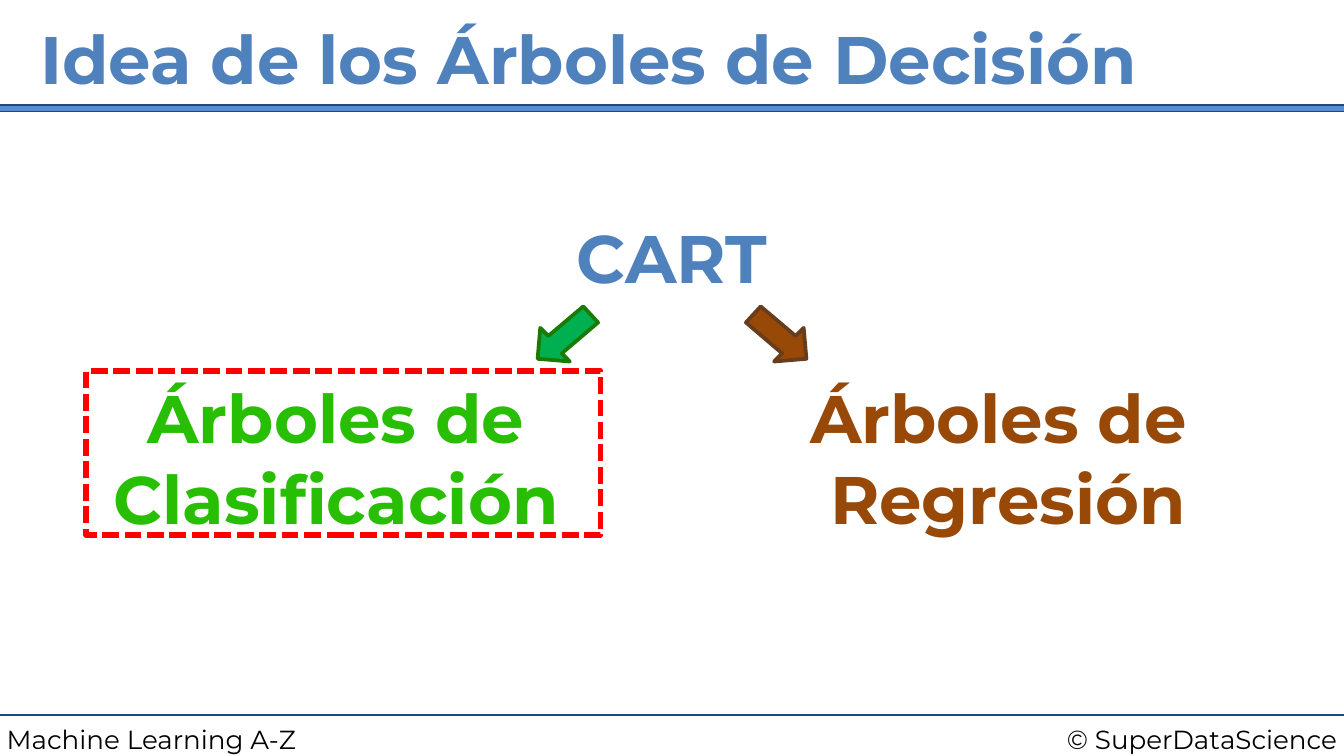
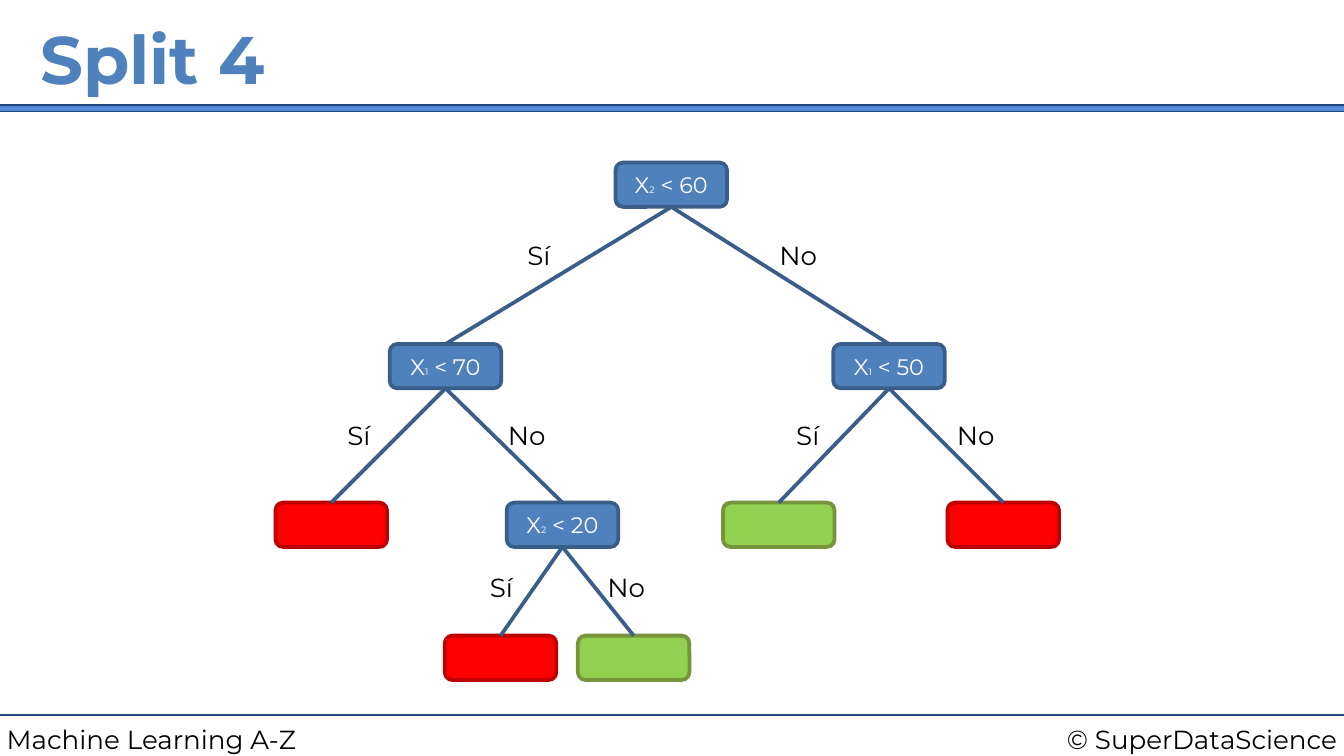
from dataclasses import dataclass

from lxml import etree
from pptx import Presentation
from pptx import util as u
from pptx.dml.color import RGBColor
from pptx.enum import dml, shapes, text
from pptx.oxml.ns import qn

PX = u.Inches(1) // 100
WIDTH = 1000
LEFT, CENTER, RIGHT = text.PP_ALIGN.LEFT, text.PP_ALIGN.CENTER, text.PP_ALIGN.RIGHT


@dataclass(frozen=True)
class Theme:
    font: str = "Montserrat"
    heading_size: int = 36
    label_size: int = 14
    node_size: int = 12
    index_size: int = 5
    ink: str = "000000"
    white: str = "FFFFFF"
    heading: str = "4F81BD"
    navy: str = "1F497D"
    band: str = "558ED5"
    classification: str = "27BE04"
    regression: str = "984807"
    highlight: str = "FF0000"
    branch: str = "3A5E8A"
    # Fill and outline pairs
    test: tuple = ("4F81BD", "3A5E8A")
    red: tuple = ("FF0000", "C00000")
    green: tuple = ("92D050", "77933C")
    green_arrow: tuple = ("00B050", "1A7B03")
    brown_arrow: tuple = ("984807", "673D1B")


class Deck:
    NODE_WIDTH, NODE_HEIGHT = 83, 33

    def __init__(self, theme):
        self.theme = theme
        self.deck = Presentation()
        self.deck.slide_width = WIDTH * PX
        self.deck.slide_height = WIDTH * PX * 9 // 16
        self.page = None

    def new_page(self, title):
        theme = self.theme
        self.page = self.deck.slides.add_slide(self.deck.slide_layouts[6])
        self.line((0, 532), (WIDTH, 532), theme.navy, 1.5)
        self.label("© SuperDataScience", 708, 533, 292, RIGHT)
        self.label("Machine Learning A-Z", 0, 533, 325, LEFT)
        self.shape(shapes.MSO_SHAPE.RECTANGLE, (-4, 78, 1008, 5),
                   theme.band, theme.navy, 0.75)
        self.heading(title, (25, 8, 950, 81), theme.heading, LEFT)

    def style(self, span, size, color, bold=False):
        span.font.name = self.theme.font
        span.font.size = u.Pt(size)
        span.font.bold = bold
        span.font.color.rgb = RGBColor.from_string(color)

    def frame(self, box):
        """Give the text frame of a box the shared margins and wrapping."""
        frame = box.text_frame
        frame.word_wrap = True
        frame.margin_left = frame.margin_right = 5 * PX
        frame.margin_top = frame.margin_bottom = 5 * PX
        return frame

    def text(self, words, place, size, color, align, bold=False):
        box = self.page.shapes.add_textbox(*(value * PX for value in place))
        frame = self.frame(box)
        frame.text = words
        for para in frame.paragraphs:
            para.alignment = align
            for span in para.runs:
                self.style(span, size, color, bold)

    def heading(self, words, place, color, align=CENTER):
        self.text(words, place, self.theme.heading_size, color, align, bold=True)

    def label(self, words, left, top, width=68, align=CENTER):
        self.text(words, (left, top, width, 34), self.theme.label_size,
                  self.theme.ink, align)

    def paint(self, shape, fill, outline, weight):
        shape.shadow.inherit = False
        if fill:
            shape.fill.solid()
            shape.fill.fore_color.rgb = RGBColor.from_string(fill)
        else:
            shape.fill.background()
        shape.line.color.rgb = RGBColor.from_string(outline)
        shape.line.width = u.Pt(weight)

    def shape(self, kind, place, fill, outline, weight):
        shape = self.page.shapes.add_shape(kind, *(value * PX for value in place))
        self.paint(shape, fill, outline, weight)
        return shape

    def polygon(self, points, colors):
        builder = self.page.shapes.build_freeform(*points[0], scale=PX)
        builder.add_line_segments(points[1:], close=True)
        self.paint(builder.convert_to_shape(), *colors, 2)

    def line(self, start, end, color, weight):
        line = self.page.shapes.add_connector(
            shapes.MSO_CONNECTOR.STRAIGHT, *(value * PX for value in start + end))
        line.line.color.rgb = RGBColor.from_string(color)
        line.line.width = u.Pt(weight)
        etree.SubElement(line._element.spPr, qn("a:effectLst"))
        return line

    def node(self, left, top, colors):
        node = self.shape(shapes.MSO_SHAPE.ROUNDED_RECTANGLE,
                          (left, top, self.NODE_WIDTH, self.NODE_HEIGHT), *colors, 2)
        node.adjustments[0] = 0.17
        return node

    def test(self, left, top, index, limit):
        """Draw a decision node that compares one variable with a limit."""
        node = self.node(left, top, self.theme.test)
        frame = self.frame(node)
        frame.vertical_anchor = text.MSO_ANCHOR.MIDDLE
        para = frame.paragraphs[0]
        para.alignment = CENTER
        size = self.theme.node_size
        for words, points in (("X", size), (index, self.theme.index_size),
                              (f" < {limit}", size)):
            span = para.add_run()
            span.text = words
            self.style(span, points, self.theme.white)
        return node

    def branch(self, parent, child):
        line = self.line((0, 0), (0, 0), self.theme.branch, 2)
        line.begin_connect(parent, 2)
        line.end_connect(child, 0)


def build_cart(deck):
    theme = deck.theme
    deck.new_page("Idea de los Árboles de Decisión")
    deck.heading("CART", (0, 156, WIDTH, 70), theme.heading)
    deck.heading("Árboles de Clasificación", (0, 275, 500, 129), theme.classification)
    deck.heading("Árboles de \nRegresión", (500, 275, 500, 129), theme.regression)

    arrow = [(402, 244), (408, 250), (434, 228), (445, 240),
             (418, 263), (424, 269), (400, 267)]
    deck.polygon(arrow, theme.green_arrow)
    deck.polygon([(WIDTH - x, y) for x, y in arrow], theme.brown_arrow)

    frame = deck.shape(shapes.MSO_SHAPE.RECTANGLE, (64, 276, 383, 122),
                       None, theme.highlight, 3)
    frame.line.dash_style = dml.MSO_LINE.SQUARE_DOT


def build_tree(deck):
    theme = deck.theme
    deck.new_page("Split 4")
    level = (121, 256, 374, 473)
    root = deck.test(458, level[0], "2", 60)
    left = deck.test(290, level[1], "1", 70)
    right = deck.test(620, level[1], "1", 50)
    inner = deck.test(377, level[2], "2", 20)
    left_red = deck.node(205, level[2], theme.red)
    right_green = deck.node(538, level[2], theme.green)
    right_red = deck.node(705, level[2], theme.red)
    inner_red = deck.node(331, level[3], theme.red)
    inner_green = deck.node(430, level[3], theme.green)

    # Parent, yes child, no child, then the left edges and top of the labels
    splits = [
        (root, left, right, 367, 560, 173),
        (left, left_red, inner, 233, 358, 307),
        (right, right_green, right_red, 567, 692, 307),
        (inner, inner_red, inner_green, 339, 432, 420),
    ]
    for parent, yes, no, yes_left, no_left, top in splits:
        deck.branch(parent, yes)
        deck.branch(parent, no)
        deck.label("Sí", yes_left, top)
        deck.label("No", no_left, top)


def main():
    deck = Deck(Theme())
    build_cart(deck)
    build_tree(deck)
    deck.deck.save("out.pptx")


if __name__ == "__main__":
    main()
